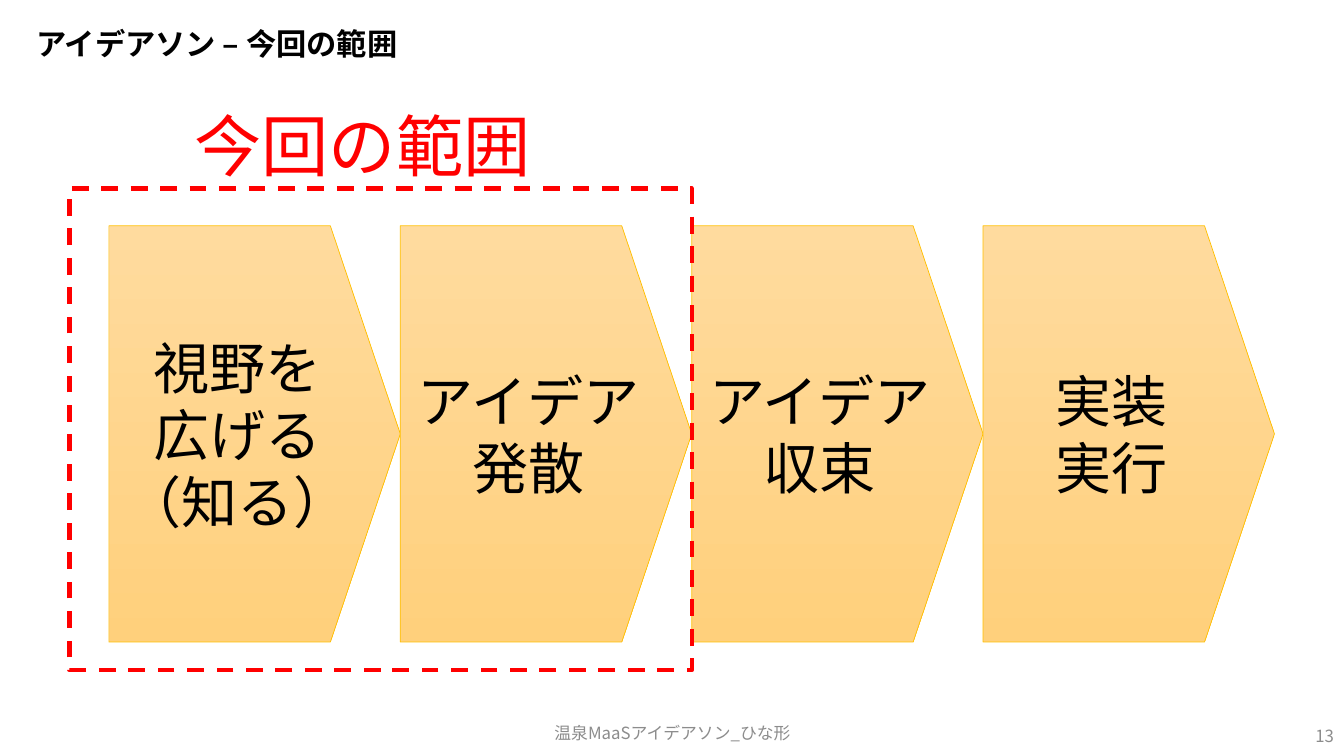
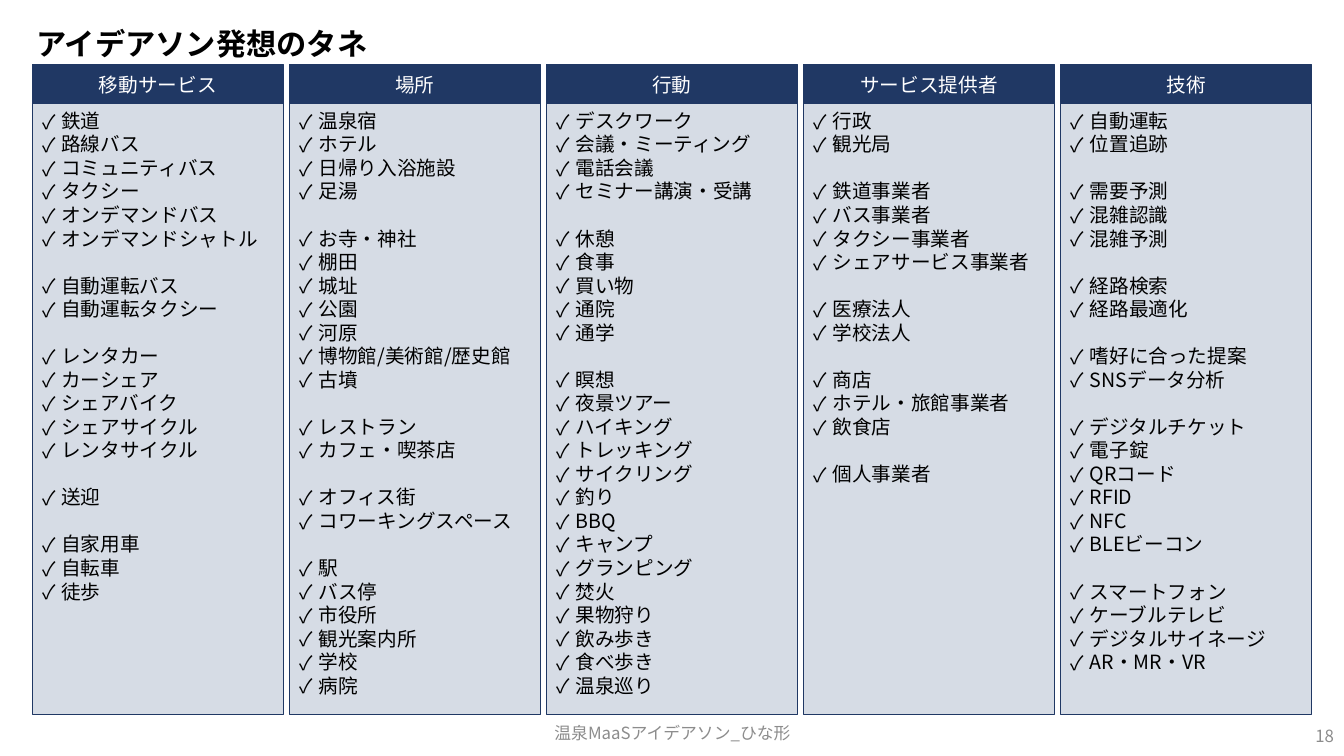
from lxml.etree import SubElement
from pptx import Presentation
from pptx.dml.color import RGBColor
from pptx.enum.dml import MSO_LINE
from pptx.enum.shapes import MSO_SHAPE as SHAPE
from pptx.enum.text import MSO_ANCHOR as ANCHOR, PP_ALIGN as ALIGN
from pptx.oxml.ns import qn
from pptx.util import Pt

PX = 9144  # 100 px to the inch
FONT = "Noto Sans CJK JP"
BLACK = RGBColor(0x00, 0x00, 0x00)
WHITE = RGBColor(0xFF, 0xFF, 0xFF)
GREY = RGBColor(0x8C, 0x8C, 0x8C)
RED = RGBColor(0xFF, 0x00, 0x00)
NAVY = RGBColor(0x20, 0x38, 0x64)
PALE_BLUE = RGBColor(0xD6, 0xDC, 0xE5)
GOLD = RGBColor(0xFF, 0xC0, 0x00)
ORANGE_TOP = RGBColor(0xFF, 0xDB, 0x9E)
ORANGE_BOTTOM = RGBColor(0xFF, 0xD0, 0x7C)
FOOTER = "温泉MaaSアイデアソン_ひな形"


def write(shape, *groups, size, color=BLACK, bold=False, align=ALIGN.LEFT,
          anchor=ANCHOR.MIDDLE, bullet=None):
    """Fill a shape with groups of lines, one line's height between groups."""
    frame = shape.text_frame
    frame.word_wrap = True
    frame.vertical_anchor = anchor
    line_height = Pt(size * 1.2)
    paragraph = None
    for group in groups:
        for index, line in enumerate(group):
            is_first = paragraph is None
            paragraph = frame.paragraphs[0] if is_first else frame.add_paragraph()
            if bullet:
                props = paragraph._p.get_or_add_pPr()
                props.set("marL", str(19 * PX))
                props.set("indent", str(-19 * PX))
                SubElement(props, qn("a:buFont")).set("typeface", FONT)
                SubElement(props, qn("a:buChar")).set("char", bullet)
            paragraph.alignment = align
            paragraph.line_spacing = line_height
            if index == 0 and not is_first:
                paragraph.space_before = line_height
            run = paragraph.add_run()
            run.text = line
            run.font.name = FONT
            run.font.size = Pt(size)
            run.font.bold = bold
            run.font.color.rgb = color
            SubElement(run.font._element, qn("a:ea")).set("typeface", FONT)


def add_box(slide, box, kind=None, fill=None, line=None, weight=1):
    """Add a text box, or a preset shape when a kind is given."""
    left, top, width, height = (value * PX for value in box)
    if kind is None:
        return slide.shapes.add_textbox(left, top, width, height)
    shape = slide.shapes.add_shape(kind, left, top, width, height)
    shape.shadow.inherit = False
    if fill is None:
        shape.fill.background()
    else:
        shape.fill.solid()
        shape.fill.fore_color.rgb = fill
    shape.line.color.rgb = line
    shape.line.width = Pt(weight)
    return shape


deck = Presentation()
deck.slide_width, deck.slide_height = 1333 * PX, 750 * PX

# Title, footer and page number on both slides
pages = []
for title, number in [("アイデアソン – 今回の範囲", "13"), ("アイデアソン発想のタネ", "18")]:
    page = deck.slides.add_slide(deck.slide_layouts[6])
    write(add_box(page, (26, 23, 1281, 40)), [title], size=21.6, bold=True)
    write(add_box(page, (442, 707, 450, 40)), [FOOTER], size=12, color=GREY, align=ALIGN.CENTER)
    write(add_box(page, (1033, 710, 300, 40)), [number], size=12, color=GREY, align=ALIGN.RIGHT)
    pages.append(page)
scope_page, seeds_page = pages

# Process steps and the part covered this time
STEPS = [
    ["視野を", "広げる", "（知る）"],
    ["アイデア", "発散"],
    ["アイデア", "収束"],
    ["実装", "実行"],
]
STEP_WIDTH = 289
for column, step in enumerate(STEPS):
    arrow = add_box(scope_page, (108 + column * STEP_WIDTH, 224, STEP_WIDTH, 413),
                    SHAPE.PENTAGON, ORANGE_TOP, GOLD, 0.5)
    arrow.adjustments[0] = 0.24
    arrow.fill.gradient()
    arrow.fill.gradient_angle = 270
    for stop, shade in zip(arrow.fill.gradient_stops, (ORANGE_TOP, ORANGE_BOTTOM)):
        stop.color.rgb = shade
    write(arrow, step, size=40, align=ALIGN.CENTER)

scope = add_box(scope_page, (69, 187, 617, 478), SHAPE.RECTANGLE, line=RED, weight=3)
scope.line.dash_style = MSO_LINE.DASH
write(add_box(scope_page, (183, 99, 359, 91)), ["今回の範囲"], size=48, color=RED,
      anchor=ANCHOR.TOP)

# Idea seeds: one column per theme, one list per group
SEEDS = {
    "移動サービス": [
        ["鉄道", "路線バス", "コミュニティバス", "タクシー", "オンデマンドバス",
         "オンデマンドシャトル"],
        ["自動運転バス", "自動運転タクシー"],
        ["レンタカー", "カーシェア", "シェアバイク", "シェアサイクル", "レンタサイクル"],
        ["送迎"],
        ["自家用車", "自転車", "徒歩"],
    ],
    "場所": [
        ["温泉宿", "ホテル", "日帰り入浴施設", "足湯"],
        ["お寺・神社", "棚田", "城址", "公園", "河原", "博物館/美術館/歴史館", "古墳"],
        ["レストラン", "カフェ・喫茶店"],
        ["オフィス街", "コワーキングスペース"],
        ["駅", "バス停", "市役所", "観光案内所", "学校", "病院"],
    ],
    "行動": [
        ["デスクワーク", "会議・ミーティング", "電話会議", "セミナー講演・受講"],
        ["休憩", "食事", "買い物", "通院", "通学"],
        ["瞑想", "夜景ツアー", "ハイキング", "トレッキング", "サイクリング", "釣り", "BBQ",
         "キャンプ", "グランピング", "焚火", "果物狩り", "飲み歩き", "食べ歩き", "温泉巡り"],
    ],
    "サービス提供者": [
        ["行政", "観光局"],
        ["鉄道事業者", "バス事業者", "タクシー事業者", "シェアサービス事業者"],
        ["医療法人", "学校法人"],
        ["商店", "ホテル・旅館事業者", "飲食店"],
        ["個人事業者"],
    ],
    "技術": [
        ["自動運転", "位置追跡"],
        ["需要予測", "混雑認識", "混雑予測"],
        ["経路検索", "経路最適化"],
        ["嗜好に合った提案", "SNSデータ分析"],
        ["デジタルチケット", "電子錠", "QRコード", "RFID", "NFC", "BLEビーコン"],
        ["スマートフォン", "ケーブルテレビ", "デジタルサイネージ", "AR・MR・VR"],
    ],
}
for column, (theme, groups) in enumerate(SEEDS.items()):
    left = 32 + column * 255
    header = add_box(seeds_page, (left, 64, 249, 39), SHAPE.RECTANGLE, NAVY, NAVY)
    write(header, [theme], size=14, color=WHITE, align=ALIGN.CENTER)
    body = add_box(seeds_page, (left, 103, 249, 606), SHAPE.RECTANGLE, PALE_BLUE, NAVY)
    write(body, *groups, size=14, anchor=ANCHOR.TOP, bullet="✓")

deck.save("out.pptx")
